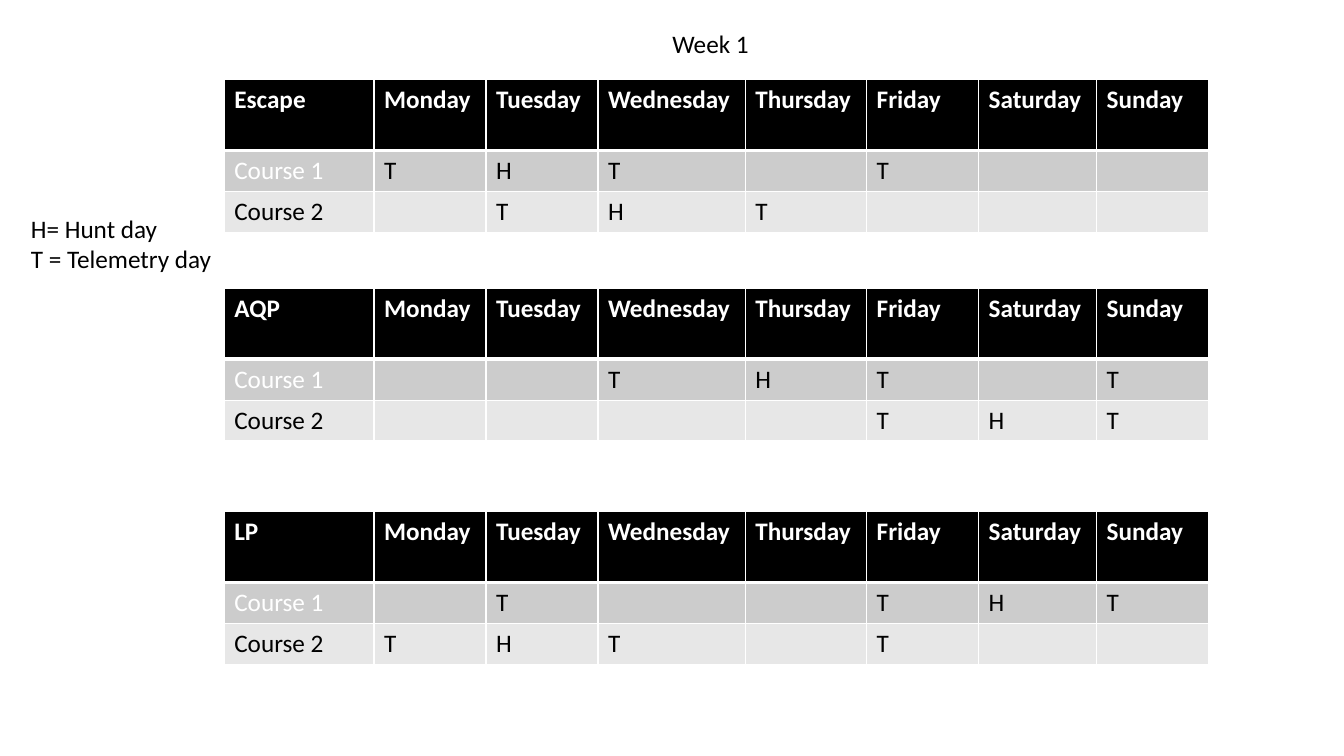
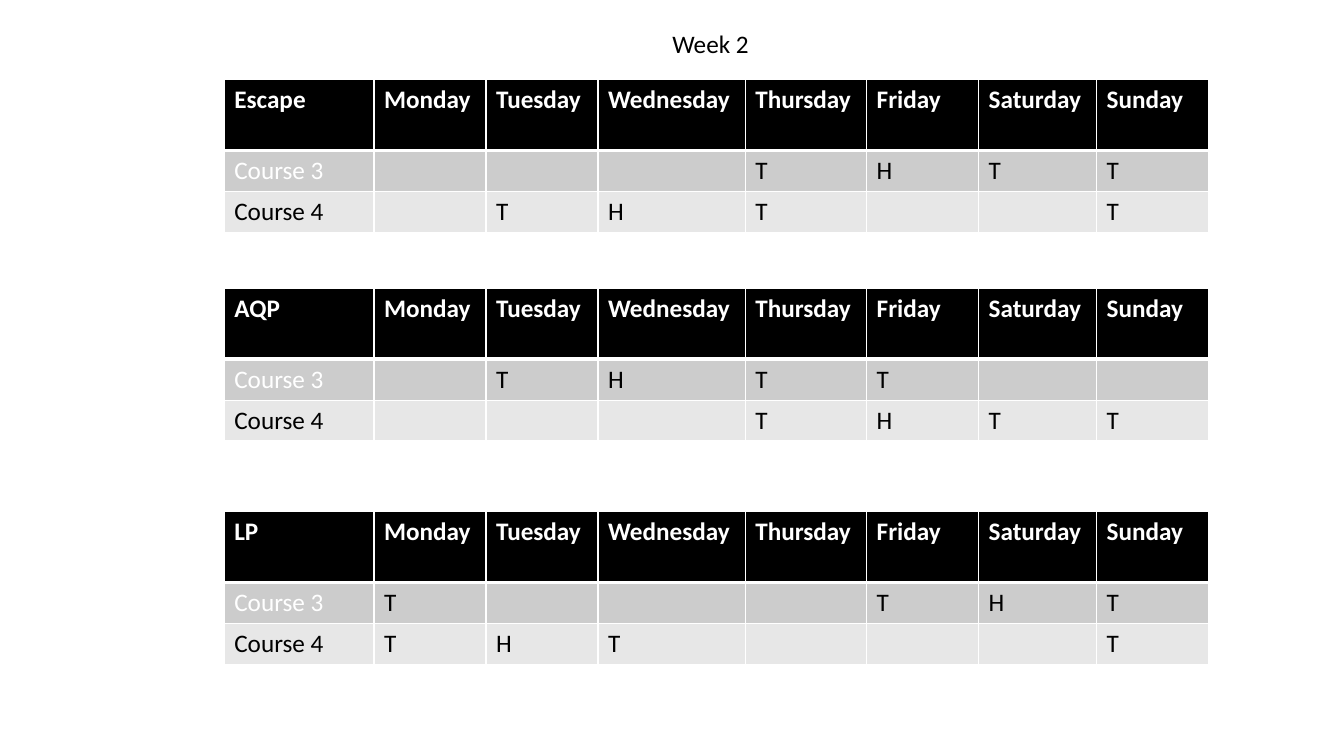
"""Build the two-week hunt and telemetry schedule for the three sites."""
from dataclasses import dataclass

from lxml.etree import SubElement
from pptx import Presentation
from pptx.dml.color import RGBColor
from pptx.enum.text import MSO_ANCHOR, MSO_AUTO_SIZE, PP_ALIGN
from pptx.oxml.ns import qn
from pptx.slide import Slide
from pptx.table import _Cell
from pptx.text.text import TextFrame
from pptx.util import Pt

TOP, FIT_SHAPE, LEFT = MSO_ANCHOR.TOP, MSO_AUTO_SIZE.SHAPE_TO_FIT_TEXT, PP_ALIGN.LEFT

BLACK = RGBColor(0x00, 0x00, 0x00)
WHITE = RGBColor(0xFF, 0xFF, 0xFF)
DARK_BAND = RGBColor(0xCC, 0xCC, 0xCC)
LIGHT_BAND = RGBColor(0xE7, 0xE7, 0xE7)

FONT_NAME = "Calibri"
FONT_SIZE = Pt(18)
DAYS = ["Monday", "Tuesday", "Wednesday", "Thursday", "Friday", "Saturday", "Sunday"]
COLUMN_WIDTHS = [Pt(w) for w in (107, 80, 80, 105.2, 86.7, 80, 84.3, 80)]
ROW_HEIGHTS = [Pt(h) for h in (50.6, 29.2, 29.2)]
TABLE_LEFT = Pt(160.2)
SITE_TOPS = {"Escape": Pt(57), "AQP": Pt(206), "LP": Pt(365.5)}
THIN, THICK = Pt(1), Pt(3)
REST_DAY = "."


@dataclass(frozen=True)
class Week:
    """One week: its courses, and per site one seven-day plan for each course."""

    title: str
    courses: tuple[str, str]
    plans: dict[str, tuple[str, str]]
    legend: tuple[str, ...] = ()


@dataclass(frozen=True)
class RowStyle:
    """Colours, weight and horizontal rules of a table row."""

    fill: RGBColor
    label_color: RGBColor
    text_color: RGBColor
    bold: bool
    top_rule: int
    bottom_rule: int


ROW_STYLES = (
    RowStyle(BLACK, WHITE, WHITE, True, THIN, THICK),
    RowStyle(DARK_BAND, WHITE, BLACK, False, THICK, THIN),
    RowStyle(LIGHT_BAND, BLACK, BLACK, False, THIN, THIN),
)

WEEKS = (
    Week(
        "Week 1",
        ("Course 1", "Course 2"),
        {
            "Escape": ("THT.T..", ".THT..."),
            "AQP": ("..THT.T", "....THT"),
            "LP": (".T..THT", "THT.T.."),
        },
        ("H= Hunt day", "T = Telemetry day"),
    ),
    Week(
        "Week 2",
        ("Course 3", "Course 4"),
        {
            "Escape": ("...THTT", ".THT..T"),
            "AQP": (".THTT..", "...THTT"),
            "LP": ("T...THT", "THT...T"),
        },
    ),
)


def write_lines(frame: TextFrame, lines: tuple[str, ...], color: RGBColor, bold: bool = False) -> None:
    """Fill a text frame with left-aligned lines in the shared font."""
    frame.text = "\n".join(lines)
    for paragraph in frame.paragraphs:
        paragraph.alignment = LEFT
        font = paragraph.font
        font.name, font.size, font.bold = FONT_NAME, FONT_SIZE, bold
        font.color.rgb = color


def fit_to_text(frame: TextFrame) -> None:
    """Let a frame hug its unwrapped text from the top."""
    frame.word_wrap = False
    frame.auto_size = FIT_SHAPE
    frame.vertical_anchor = TOP


def rule_cell(cell: _Cell, style: RowStyle) -> None:
    """Draw the white rules around a cell."""
    properties = cell._tc.get_or_add_tcPr()
    rules = {"a:lnL": THIN, "a:lnR": THIN, "a:lnT": style.top_rule, "a:lnB": style.bottom_rule}
    for side, width in rules.items():
        line = SubElement(properties, qn(side), w=str(int(width)))
        SubElement(SubElement(line, qn("a:solidFill")), qn("a:srgbClr"), val=str(WHITE))


def add_site_table(slide: Slide, site: str, week: Week) -> None:
    """Add the timetable of one site."""
    rows = [[site, *DAYS]]
    for course, plan in zip(week.courses, week.plans[site]):
        rows.append([course, *plan.replace(REST_DAY, " ")])
    table = slide.shapes.add_table(
        len(rows), len(COLUMN_WIDTHS), TABLE_LEFT, SITE_TOPS[site], sum(COLUMN_WIDTHS), sum(ROW_HEIGHTS)
    ).table
    for column, width in zip(table.columns, COLUMN_WIDTHS):
        column.width = width
    for row, height, entries, style in zip(table.rows, ROW_HEIGHTS, rows, ROW_STYLES):
        row.height = height
        for index, (cell, entry) in enumerate(zip(row.cells, entries)):
            rule_cell(cell, style)
            cell.fill.solid()
            cell.fill.fore_color.rgb = style.fill
            color = style.text_color if index else style.label_color
            write_lines(cell.text_frame, (entry.strip(),), color, style.bold)


def add_week_slide(presentation, week: Week) -> None:
    """Add the slide of one week with its title, tables and legend."""
    slide = presentation.slides.add_slide(presentation.slide_layouts.get_by_name("Title Only"))
    title = slide.shapes.title
    title.left, title.top, title.width, title.height = Pt(473), Pt(16.6), Pt(70), Pt(29)
    write_lines(title.text_frame, (week.title,), BLACK)
    fit_to_text(title.text_frame)
    for site in week.plans:
        add_site_table(slide, site, week)
    if week.legend:
        legend = slide.shapes.add_textbox(Pt(15), Pt(149), Pt(145), Pt(51))
        write_lines(legend.text_frame, week.legend, BLACK)
        fit_to_text(legend.text_frame)


def main() -> None:
    """Build and save the presentation."""
    presentation = Presentation()
    presentation.slide_width, presentation.slide_height = Pt(960), Pt(540)
    for week in WEEKS:
        add_week_slide(presentation, week)
    presentation.save("out.pptx")


if __name__ == "__main__":
    main()
